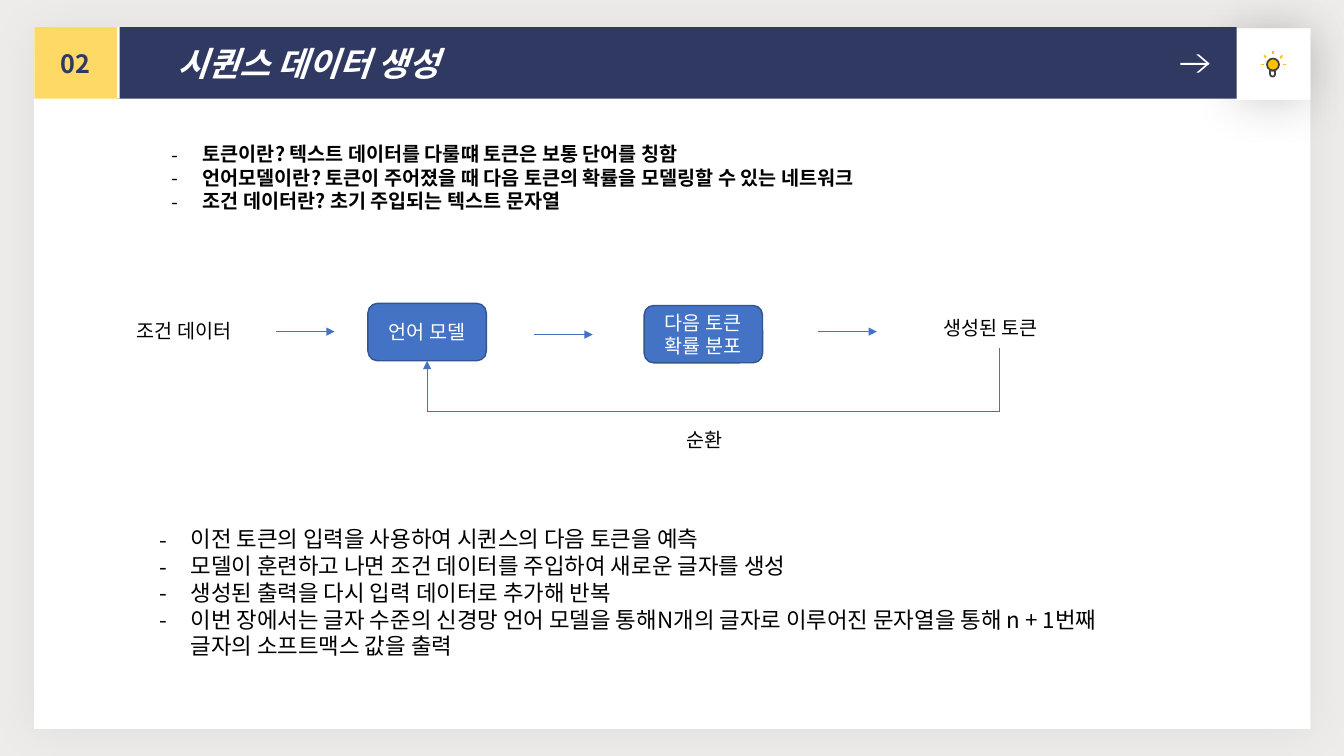
from dataclasses import dataclass
from typing import Optional

from lxml.etree import SubElement
from pptx import Presentation
from pptx.dml.color import RGBColor
from pptx.enum.shapes import MSO_CONNECTOR, MSO_SHAPE
from pptx.enum.text import MSO_ANCHOR, PP_ALIGN
from pptx.oxml.ns import qn
from pptx.util import Pt

FONT = "Noto Sans CJK KR"
NAVY, WHITE, BLACK = "303962", "FFFFFF", "000000"
BLUE, AMBER, GRAPHITE = "4472C4", "FFC000", "404040"


@dataclass(frozen=True)
class Shadow:
    color: str
    opacity: int
    blur: float
    direction: int


@dataclass(frozen=True)
class Box:
    left: float
    top: float
    width: float
    height: float
    fill: Optional[str] = None
    line: Optional[str] = None
    line_width: float = 1
    kind: MSO_SHAPE = MSO_SHAPE.RECTANGLE
    adjustments: tuple = ()
    shadow: Optional[Shadow] = None


@dataclass(frozen=True)
class Stroke:
    start_x: float
    start_y: float
    end_x: float
    end_y: float
    color: str = BLUE
    width: float = 0.5
    arrow: bool = False


@dataclass(frozen=True)
class Label:
    left: float
    top: float
    width: float
    height: float
    lines: tuple
    size: float = 14
    bold: bool = False
    bullet: Optional[str] = None


PANEL = Box(24.5, 20.2, 911.5, 500.4, WHITE, shadow=Shadow(BLACK, 5, 34, 90))
ICON_TILE = Box(883.4, 20.2, 52.6, 51.1, WHITE, shadow=Shadow(BLACK, 18, 34, 90))
TITLE_BAR = Box(83.5, 19.4, 799.9, 51.1, NAVY)
NUMBER_TILE = Box(24.5, 19.4, 59, 51.1, "FFD966", shadow=Shadow(WHITE, 100, 0, 0))
HEADER_ICONS = (
    Box(905, 41.8, 8.6, 8.6, AMBER, GRAPHITE, 1.25, MSO_SHAPE.OVAL),
    Box(907.2, 50.4, 3.6, 4.3, None, GRAPHITE, 1.25,
        MSO_SHAPE.ROUND_2_SAME_RECTANGLE, (0, 0.5)),
    Box(854.6, 38.9, 9.4, 13, WHITE, kind=MSO_SHAPE.CHEVRON, adjustments=(0.807,)),
    Box(843.1, 44.9, 20.2, 1.4, WHITE),
)
BULB_RAYS = (
    (909.4, 36.7, 909.4, 38.9),
    (918.7, 46.1, 916.6, 46.1),
    (902.9, 46.1, 900.7, 46.1),
    (904.3, 41, 902.9, 39.6),
    (914.4, 41.8, 915.8, 39.6),
)
LANGUAGE_MODEL = Box(262.8, 216.7, 84.6, 41, BLUE, "325491",
                     kind=MSO_SHAPE.ROUNDED_RECTANGLE)
DISTRIBUTION = Box(460.1, 218.2, 84.6, 41, BLUE, "325491",
                   kind=MSO_SHAPE.ROUNDED_RECTANGLE)
STEP_ARROWS = ((197.3, 236.9), (381.6, 239), (584.6, 236.9))
STEP_LENGTH = 41.8
LOOP_RIGHT, LOOP_BOTTOM, LOOP_LEFT = 714.2, 293.8, 305.1
LABELS = (
    Label(115.2, 97.9, 710.6, 74.9, (
        "토큰이란? 텍스트 데이터를 다룰떄 토큰은 보통 단어를 칭함",
        "언어모델이란? 토큰이 주어졌을 때 다음 토큰의 확률을 모델링할 수 있는 네트워크",
        "조건 데이터란? 초기 주입되는 텍스트 문자열",
    ), bold=True, bullet="-"),
    Label(90.7, 224.6, 90.7, 24.5, ("조건 데이터",)),
    Label(666.7, 221.8, 90.7, 24.5, ("생성된 토큰",)),
    Label(483.1, 302.4, 90.7, 24.5, ("순환",)),
    Label(106.6, 371.5, 727.2, 104.4, (
        "이전 토큰의 입력을 사용하여 시퀸스의 다음 토큰을 예측",
        "모델이 훈련하고 나면 조건 데이터를 주입하여 새로운 글자를 생성",
        "생성된 출력을 다시 입력 데이터로 추가해 반복",
        "이번 장에서는 글자 수준의 신경망 언어 모델을 통해N개의 글자로 이루어진 문자열을 통해 "
        "n + 1번째 글자의 소프트맥스 값을 출력",
    ), size=16, bullet="-"),
)


def color_of(value: str) -> RGBColor:
    return RGBColor.from_string(value)


def write_text(shape, lines: tuple, *, size: float = 14, color: str = BLACK,
               bold: bool = False, italic: bool = False, align=PP_ALIGN.LEFT,
               anchor=MSO_ANCHOR.TOP, indent: float = 0,
               bullet: Optional[str] = None) -> None:
    frame = shape.text_frame
    frame.word_wrap = True
    frame.vertical_anchor = anchor
    for index, line in enumerate(lines):
        paragraph = frame.add_paragraph() if index else frame.paragraphs[0]
        paragraph.alignment = align
        properties = paragraph._p.get_or_add_pPr()
        properties.set("marL", str(Pt(22.5 if bullet else indent)))
        properties.set("indent", str(Pt(-22.5 if bullet else 0)))
        if bullet:
            SubElement(properties, qn("a:buFont"), typeface=FONT)
            SubElement(properties, qn("a:buChar"), char=bullet)
        run = paragraph.add_run()
        run.text = line
        font = run.font
        font.name, font.size = FONT, Pt(size)
        font.bold, font.italic = bold, italic
        font.color.rgb = color_of(color)
        SubElement(font._element, qn("a:ea"), typeface=FONT)


def draw_box(slide, box: Box):
    shape = slide.shapes.add_shape(
        box.kind, Pt(box.left), Pt(box.top), Pt(box.width), Pt(box.height))
    for index, value in enumerate(box.adjustments):
        shape.adjustments[index] = value
    if box.fill:
        shape.fill.solid()
        shape.fill.fore_color.rgb = color_of(box.fill)
    else:
        shape.fill.background()
    if box.line:
        shape.line.color.rgb = color_of(box.line)
        shape.line.width = Pt(box.line_width)
    else:
        shape.line.fill.background()
    shape.shadow.inherit = False
    if box.shadow:
        effects = shape._element.spPr.find(qn("a:effectLst"))
        outer = SubElement(
            effects, qn("a:outerShdw"), blurRad=str(Pt(box.shadow.blur)),
            dist=str(Pt(2)), dir=str(box.shadow.direction * 60000),
            algn="ctr", rotWithShape="0")
        tint = SubElement(outer, qn("a:srgbClr"), val=box.shadow.color)
        SubElement(tint, qn("a:alpha"), val=str(box.shadow.opacity * 1000))
    return shape


def draw_stroke(slide, stroke: Stroke):
    connector = slide.shapes.add_connector(
        MSO_CONNECTOR.STRAIGHT, Pt(stroke.start_x), Pt(stroke.start_y),
        Pt(stroke.end_x), Pt(stroke.end_y))
    connector.line.color.rgb = color_of(stroke.color)
    connector.line.width = Pt(stroke.width)
    if stroke.arrow:
        SubElement(connector.line._get_or_add_ln(), qn("a:tailEnd"), type="triangle")
    SubElement(connector._element.spPr, qn("a:effectLst"))
    return connector


def draw_label(slide, label: Label) -> None:
    text_box = slide.shapes.add_textbox(
        Pt(label.left), Pt(label.top), Pt(label.width), Pt(label.height))
    write_text(text_box, label.lines, size=label.size, bold=label.bold,
               bullet=label.bullet)


def draw_header(slide) -> None:
    draw_box(slide, PANEL)
    draw_box(slide, ICON_TILE)
    write_text(draw_box(slide, TITLE_BAR), ("시퀸스 데이터 생성",), size=24, color=WHITE,
               bold=True, italic=True, anchor=MSO_ANCHOR.MIDDLE, indent=36)
    write_text(draw_box(slide, NUMBER_TILE), ("02",), size=18, color=NAVY, bold=True,
               align=PP_ALIGN.CENTER, anchor=MSO_ANCHOR.MIDDLE)
    for icon in HEADER_ICONS:
        draw_box(slide, icon)
    for ray in BULB_RAYS:
        draw_stroke(slide, Stroke(*ray, color=AMBER, width=1.25))


def draw_flow(slide) -> None:
    model = draw_box(slide, LANGUAGE_MODEL)
    distribution = draw_box(slide, DISTRIBUTION)
    for shape, lines in ((model, ("언어 모델",)), (distribution, ("다음 토큰", "확률 분포"))):
        write_text(shape, lines, color=WHITE, align=PP_ALIGN.CENTER,
                   anchor=MSO_ANCHOR.MIDDLE)
    for left, top in STEP_ARROWS:
        draw_stroke(slide, Stroke(left, top, left + STEP_LENGTH, top, arrow=True))
    draw_stroke(slide, Stroke(LOOP_RIGHT, 248.4, LOOP_RIGHT, LOOP_BOTTOM))
    draw_stroke(slide, Stroke(LOOP_RIGHT, LOOP_BOTTOM, LOOP_LEFT, LOOP_BOTTOM))
    loop_end = draw_stroke(
        slide, Stroke(LOOP_LEFT, LOOP_BOTTOM, LOOP_LEFT, 257.7, arrow=True))
    loop_end.end_connect(model, 2)


def main() -> None:
    presentation = Presentation()
    presentation.slide_width, presentation.slide_height = Pt(960), Pt(540)
    slide = presentation.slides.add_slide(presentation.slide_layouts[6])
    slide.background.fill.solid()
    slide.background.fill.fore_color.rgb = color_of("EDECEA")
    draw_header(slide)
    draw_flow(slide)
    for label in LABELS:
        draw_label(slide, label)
    presentation.save("out.pptx")


if __name__ == "__main__":
    main()
